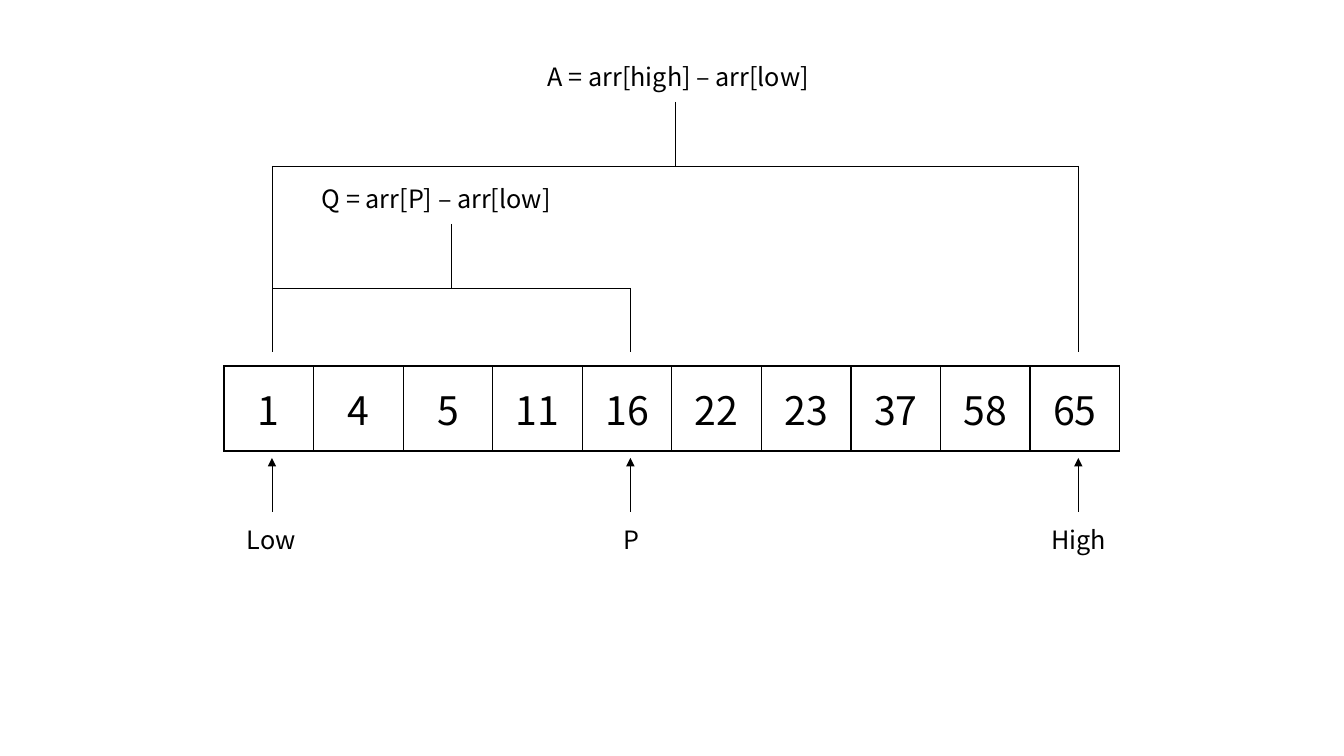
from lxml.etree import SubElement
from pptx import Presentation
from pptx.dml.color import RGBColor
from pptx.enum.shapes import MSO_CONNECTOR
from pptx.enum.text import MSO_ANCHOR, PP_ALIGN
from pptx.oxml.ns import qn
from pptx.util import Pt

BLACK = RGBColor(0, 0, 0)
WHITE = RGBColor(255, 255, 255)
FONT = "Noto Sans CJK KR"
VALUES = [1, 4, 5, 11, 16, 22, 23, 37, 58, 65]
LOW, P, HIGH = 0, 4, 9


def px(n):
    return round(n * 914400 / 100.8)


def style(p, text, size):
    p.text = text
    p.font.name = FONT
    p.font.size = Pt(size)
    p.font.color.rgb = BLACK


def add_label(s, x, y, w, text):
    tf = s.shapes.add_textbox(px(x), px(y), px(w), px(40)).text_frame
    tf.word_wrap = True
    style(tf.paragraphs[0], text, 18)


def add_line(s, x1, y1, x2, y2, arrow=False):
    line = s.shapes.add_connector(
        MSO_CONNECTOR.STRAIGHT, px(x1), px(y1), px(x2), px(y2))
    line.line.color.rgb = BLACK
    line.line.width = Pt(0.5)
    if arrow:
        SubElement(line.line._ln, qn("a:tailEnd"), type="triangle")
    SubElement(line._element.spPr, qn("a:effectLst"))


def add_borders(cell):
    tcPr = cell._tc.get_or_add_tcPr()
    for side in ("a:lnL", "a:lnR", "a:lnT", "a:lnB"):
        ln = SubElement(tcPr, qn(side), w=str(Pt(1)))
        fill = SubElement(ln, qn("a:solidFill"))
        SubElement(fill, qn("a:srgbClr"), val=str(BLACK))


def add_array(s, x, y, w, h):
    table = s.shapes.add_table(1, len(VALUES), px(x), px(y), px(w), px(h)).table
    table.first_row = table.horz_banding = False
    for cell, value in zip(table.rows[0].cells, VALUES):
        add_borders(cell)
        cell.fill.solid()
        cell.fill.fore_color.rgb = WHITE
        cell.vertical_anchor = MSO_ANCHOR.MIDDLE
        p = cell.text_frame.paragraphs[0]
        style(p, str(value), 28)
        p.alignment = PP_ALIGN.CENTER


def add_pointer(s, x, y, text, offset, w):
    add_line(s, x, y + 54, x, y, arrow=True)
    add_label(s, x - offset, y + 61, w, text)


def add_bracket(s, x1, x2, y, bottom, text, text_x):
    middle = (x1 + x2) / 2
    add_line(s, x1, y, x2, y)
    add_line(s, x1, y, x1, bottom)
    add_line(s, x2, y, x2, bottom)
    add_line(s, middle, y - 64, middle, y)
    add_label(s, text_x, y - 110, 300, text)


def add_search_diagram(s, x, y, w, h):
    add_array(s, x, y, w, h)
    low, mid, high = (x + 48 + i * w / len(VALUES) for i in (LOW, P, HIGH))
    pointers = [(low, "Low", 35, 91), (mid, "P", 17, 34), (high, "High", 37, 91)]
    for pointer_x, text, offset, label_w in pointers:
        add_pointer(s, pointer_x, y + h + 7, text, offset, label_w)
    add_bracket(s, low, high, y - 200, y - 14, "A = arr[high] – arr[low]", x + 314)
    add_bracket(s, low, mid, y - 78, y - 14, "Q = arr[P] – arr[low]", x + 88)


prs = Presentation()
prs.slide_width, prs.slide_height = px(1344), px(756)
s = prs.slides.add_slide(prs.slide_layouts[6])
add_search_diagram(s, 224, 366, 896, 85)
prs.save("out.pptx")
